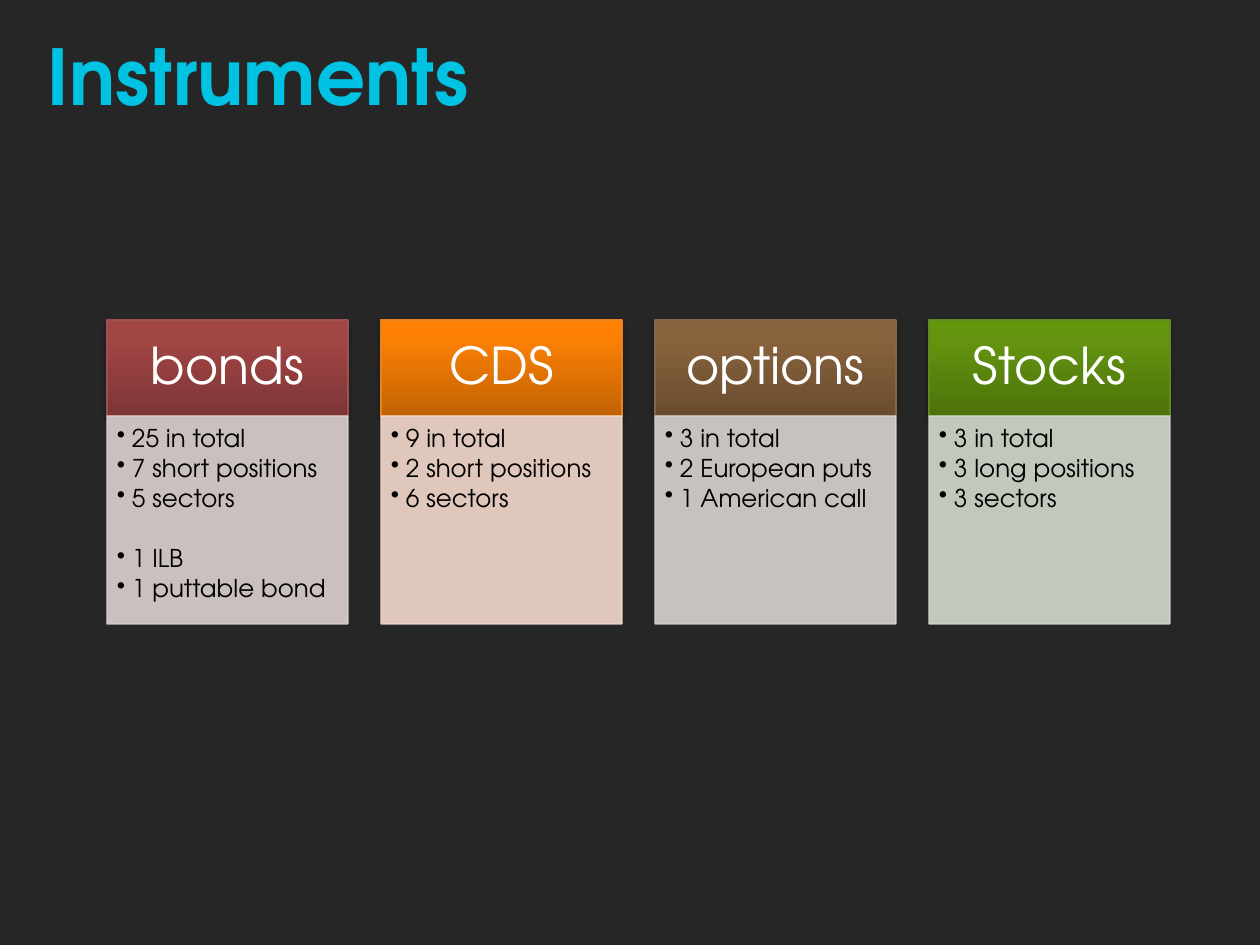
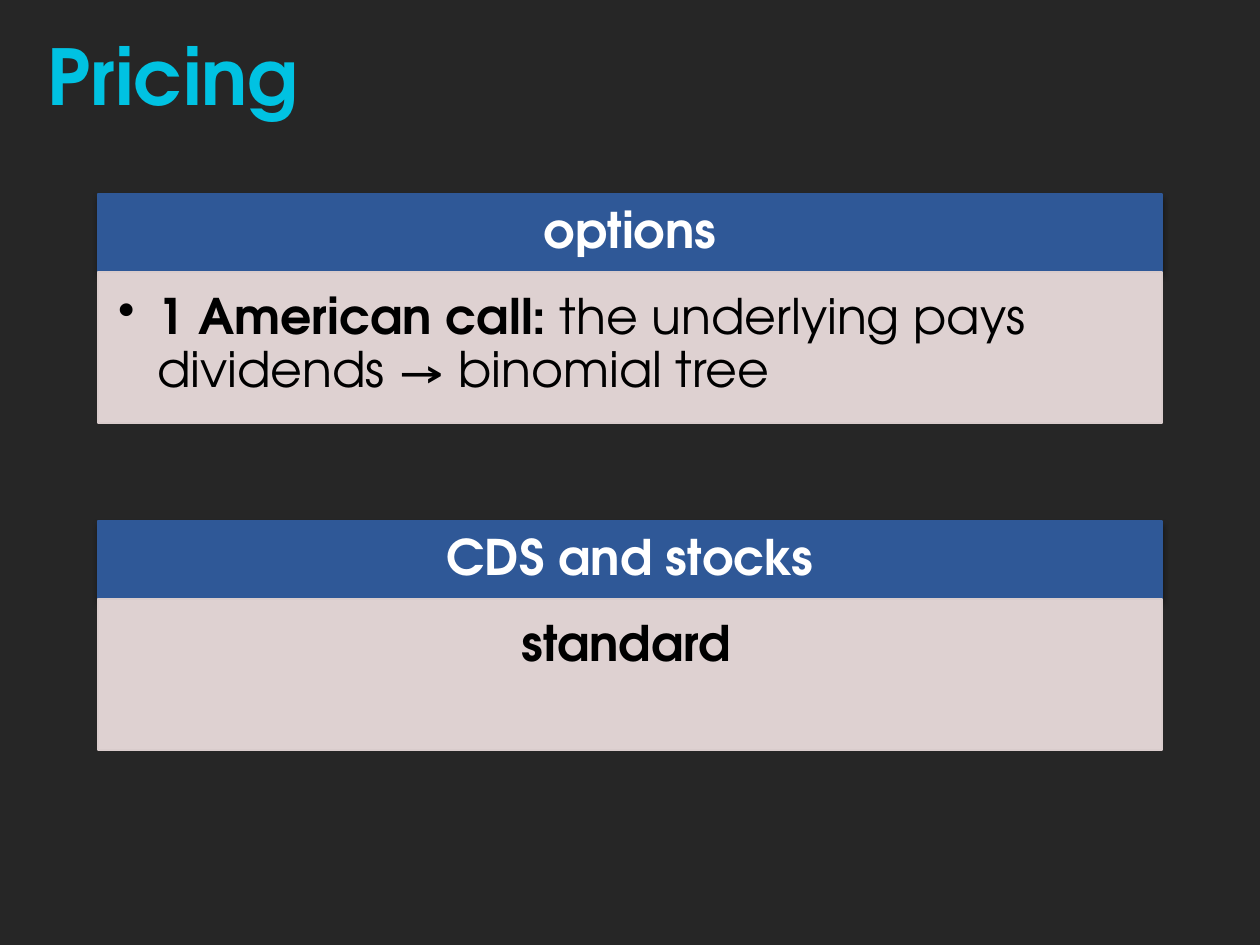
from copy import deepcopy

from lxml.etree import SubElement
from pptx import Presentation
from pptx.dml.color import RGBColor
from pptx.enum.shapes import MSO_SHAPE
from pptx.enum.text import MSO_ANCHOR as ANCHOR, MSO_AUTO_SIZE, PP_ALIGN as ALIGN
from pptx.oxml.ns import qn
from pptx.util import Inches, Pt

PX = Inches(1) / 126
FONT = "TeX Gyre Adventor"
DARK, CYAN, WHITE, BLACK = "262626", "00C2E2", "FFFFFF", "000000"
BLUE, ROSE, ROSE_EDGE = "2F5897", "DED1D1", "D9CCCC"
rgb = RGBColor.from_string


def write(p, text, size, color=BLACK, bold=False, align=ALIGN.LEFT,
          spacing=0.9, after=0.15, before=0, indent=0):
    """Add a run to paragraph p; an indent in pixels gives it a hanging bullet."""
    p.alignment, p.line_spacing = align, spacing
    p.space_before, p.space_after = Pt(before), Pt(size * after)
    pPr = p._p.get_or_add_pPr()
    if indent and pPr.find(qn("a:buChar")) is None:
        pPr.set("marL", str(int(indent * PX)))
        pPr.set("indent", str(int(-indent * PX)))
        SubElement(pPr, qn("a:buChar")).set("char", "•")
    r = p.add_run()
    r.text = text
    r.font.name, r.font.size, r.font.bold = FONT, Pt(size), bold
    r.font.color.rgb = rgb(color)


def add_box(slide, at, fills, line, insets, anchor=ANCHOR.TOP, alpha=100, shadow=False):
    """Draw a rectangle with one fill, or three gradient stops from the bottom up."""
    sp = slide.shapes.add_shape(MSO_SHAPE.RECTANGLE, *[int(v * PX) for v in at])
    spPr = sp._element.spPr
    if len(fills) == 1:
        sp.fill.solid()
        sp.fill.fore_color.rgb = rgb(fills[0])
    else:
        sp.fill.gradient()
        sp.fill.gradient_angle = 90
        first = spPr.find(".//" + qn("a:gs"))
        first.addnext(deepcopy(first))
        for stop, position, color in zip(sp.fill.gradient_stops, (0, 0.8, 1), fills):
            stop.position, stop.color.rgb = position, rgb(color)
    sp.line.color.rgb, sp.line.width = rgb(line), Pt(0.75)
    if alpha < 100:
        for clr in spPr.findall(".//" + qn("a:srgbClr")):
            SubElement(clr, qn("a:alpha")).set("val", str(alpha * 1000))
    sp.shadow.inherit = False
    if shadow:
        outer = SubElement(spPr.find(qn("a:effectLst")), qn("a:outerShdw"),
                           blurRad=str(Pt(3.1)), dist=str(Pt(1.8)),
                           dir="5400000", rotWithShape="0")
        clr = SubElement(outer, qn("a:srgbClr"), val=BLACK)
        SubElement(clr, qn("a:alpha"), val="35000")
    tf = sp.text_frame
    tf.word_wrap, tf.vertical_anchor = True, anchor
    tf.margin_left, tf.margin_top, tf.margin_right, tf.margin_bottom = [
        int(v * PX) for v in insets]
    return tf


prs = Presentation()
prs.slide_width, prs.slide_height = Inches(10), Inches(7.5)
background = prs.slide_master.background.fill
background.solid()
background.fore_color.rgb = rgb(DARK)

# Titles
slides = []
for title in ("Instruments", "Pricing"):
    s = prs.slides.add_slide(prs.slide_layouts[5])
    sp = s.shapes.title
    sp.left, sp.top, sp.width, sp.height = [int(v * PX) for v in (35, -4, 1169, 157)]
    tf = sp.text_frame
    tf.auto_size, tf.vertical_anchor = MSO_AUTO_SIZE.NONE, ANCHOR.MIDDLE
    write(tf.paragraphs[0], title, 44, CYAN, bold=True, spacing=1, after=0)
    slides.append(s)
instruments, pricing = slides

# Instruments: four columns, each a heading over a list
columns = [
    ("bonds", ("7D3535", "A24545", "A44343"), "9C5252", "DED1D1",
     ["25 in total", "7 short positions", "5 sectors", "1 ILB", "1 puttable bond"]),
    ("CDS", ("C26203", "FB8004", "FF8002"), "E68422", "F5D9CD",
     ["9 in total", "2 short positions", "6 sectors"]),
    ("options", ("694C2F", "89633D", "8B633C"), "846648", "D9D3CF",
     ["3 in total", "2 European puts", "1 American call"]),
    ("Stocks", ("4D720B", "64940F", "65970C"), "63891F", "D3DACD",
     ["3 in total", "3 long positions", "3 sectors"]),
]
COL_LEFT, COL_STEP, COL_W = 107, 274, 241
COL_TOP, COL_HEAD_H, COL_BODY_H = 320, 96, 208
GROUP_GAP = 17.2  # one list line, in points, before the second group of bonds
for i, (name, gradient, edge, tint, items) in enumerate(columns):
    x = COL_LEFT + i * COL_STEP
    tf = add_box(instruments, (x, COL_TOP, COL_W, COL_HEAD_H), gradient, edge,
                 (15, 15, 15, 15), ANCHOR.MIDDLE, shadow=True)
    write(tf.paragraphs[0], name, 29, WHITE, align=ALIGN.CENTER, after=0.35)
    tf = add_box(instruments, (x, COL_TOP + COL_HEAD_H, COL_W, COL_BODY_H), [tint], tint,
                 (10, 10, 14, 15), alpha=90)
    for n, item in enumerate(items):
        p = tf.add_paragraph() if n else tf.paragraphs[0]
        write(p, item, 14, indent=15, before=GROUP_GAP if n == 3 else 0)

# Pricing: two wide panels; each body is a list of (text, bold) runs
panels = [
    ("options", ALIGN.LEFT, 39,
     [("1 American call:", True),
      (" the underlying pays dividends → binomial tree", False)]),
    ("CDS and stocks", ALIGN.CENTER, 0, [("standard", True)]),
]
PANEL_LEFT, PANEL_W, PANEL_TOP, PANEL_STEP = 98, 1064, 194, 327
PANEL_HEAD_H, PANEL_BODY_H = 78, 151
for i, (name, align, indent, runs) in enumerate(panels):
    y = PANEL_TOP + i * PANEL_STEP
    tf = add_box(pricing, (PANEL_LEFT, y, PANEL_W, PANEL_HEAD_H), [BLUE], BLUE,
                 (15, 15, 15, 15), ANCHOR.MIDDLE, shadow=True)
    write(tf.paragraphs[0], name, 28, WHITE, bold=True, align=ALIGN.CENTER, after=0.35)
    tf = add_box(pricing, (PANEL_LEFT, y + PANEL_HEAD_H, PANEL_W, PANEL_BODY_H),
                 [ROSE], ROSE_EDGE, (20, 20, 28, 30))
    for text, bold in runs:
        write(tf.paragraphs[0], text, 28, bold=bold, align=align, indent=indent)

prs.save("out.pptx")
